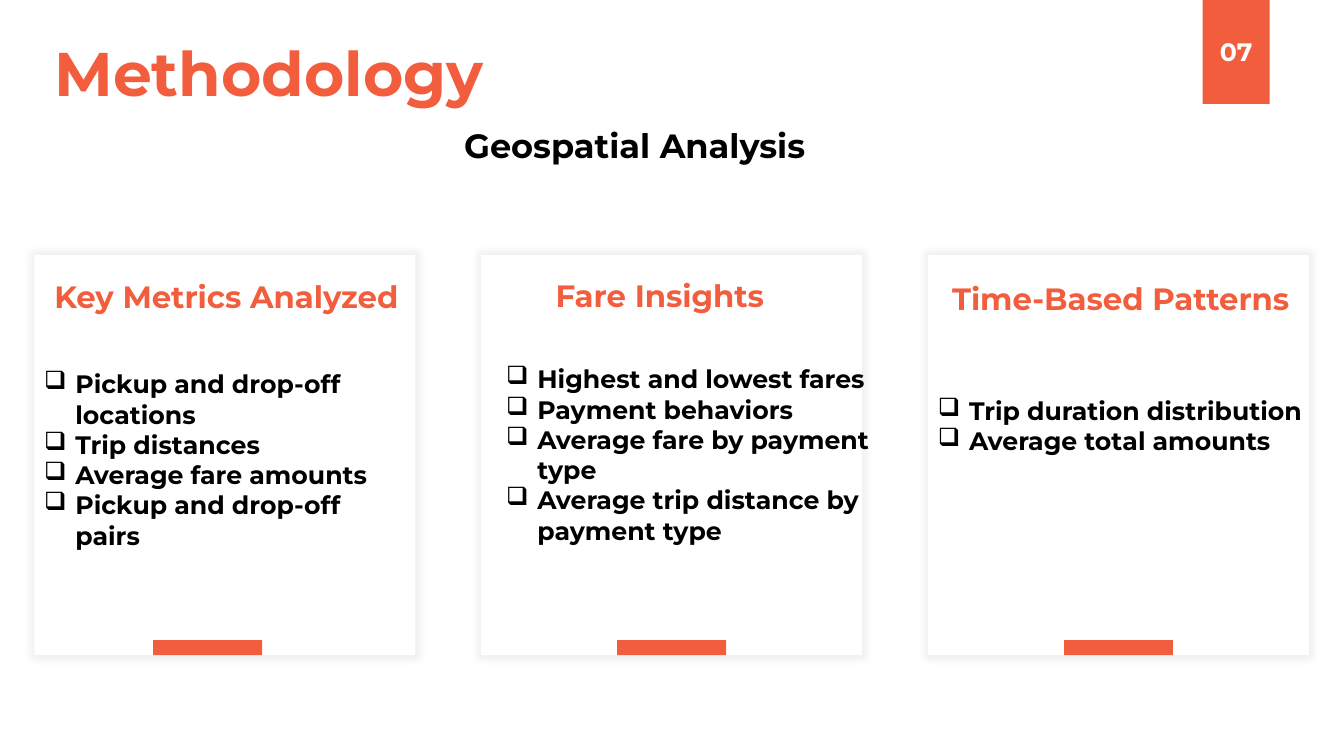
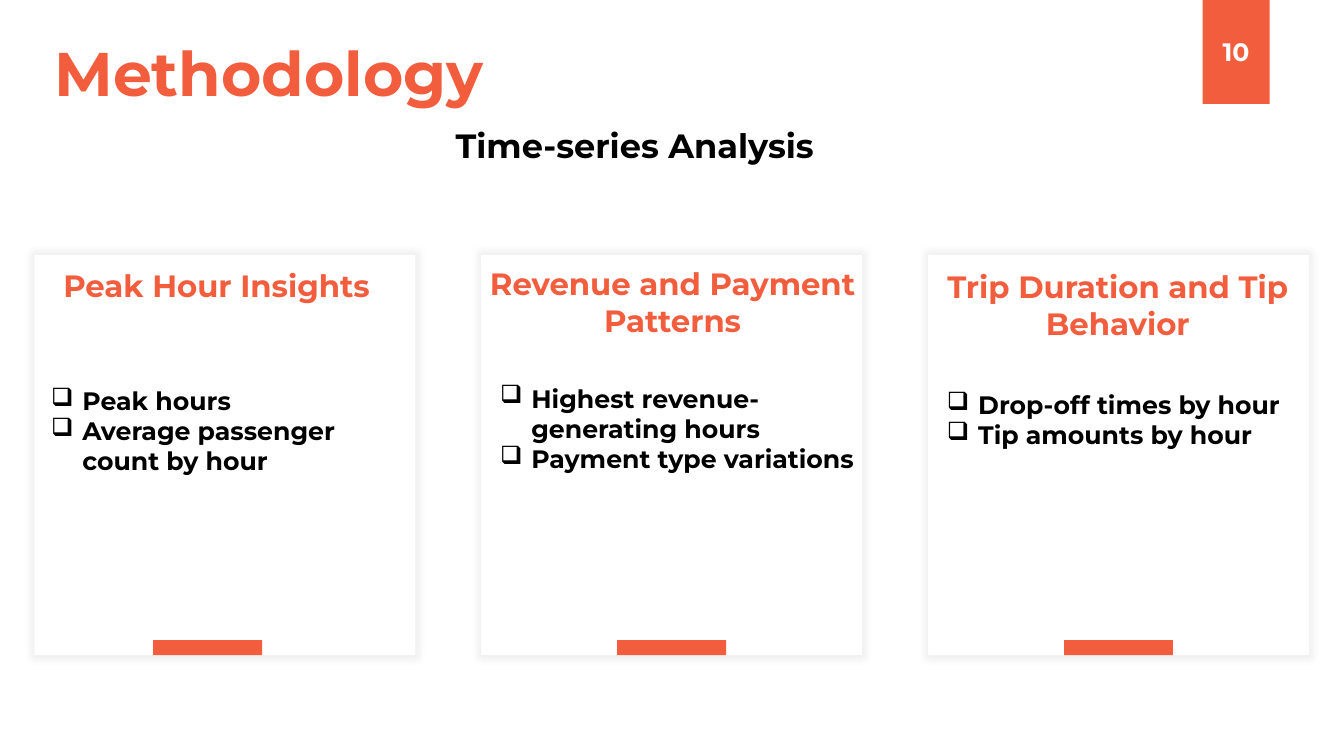
from dataclasses import dataclass

from lxml.etree import SubElement
from pptx import Presentation
from pptx.dml.color import RGBColor
from pptx.enum.shapes import MSO_SHAPE
from pptx.enum.text import MSO_ANCHOR, PP_ALIGN
from pptx.oxml.ns import qn
from pptx.util import Inches, Pt

# Slide grid: 40 columns by 22.5 rows of square cells
SLIDE_WIDTH, SLIDE_HEIGHT = Inches(40 / 3), Inches(7.5)
CELL = SLIDE_WIDTH / 40

ORANGE = RGBColor(0xF2, 0x5E, 0x3D)
WHITE = RGBColor(0xFF, 0xFF, 0xFF)
BLACK = RGBColor(0x00, 0x00, 0x00)

FONT = "Montserrat"
STYLES = {
    "title": {"size": Pt(44), "color": ORANGE},
    "subtitle": {"size": Pt(24), "color": BLACK},
    "heading": {"size": Pt(22), "color": ORANGE},
    "item": {"size": Pt(18), "color": BLACK},
    "number": {"size": Pt(18), "color": WHITE},
}
LEFT, CENTER = PP_ALIGN.LEFT, PP_ALIGN.CENTER
BULLET = "❑"
BULLET_INDENT = Inches(0.31)


@dataclass
class Box:
    """A region of the slide, measured in grid cells."""
    left: float
    top: float
    width: float
    height: float

    def inner(self, left, top, width, height):
        return Box(self.left + left, self.top + top, width, height)

    def place(self):
        sides = (self.left, self.top, self.width, self.height)
        return [round(side * CELL) for side in sides]


@dataclass
class Card:
    """Heading and list of one card; places are left, top, width in the card."""
    heading: str
    heading_place: tuple
    items: list
    list_place: tuple
    align: PP_ALIGN = LEFT


# Regions of every slide
NUMBER_TAG = Box(35.79, -0.03, 2, 3.12)
TITLE = Box(1.32, 0.9, 33.1, 2.52)
SUBTITLE = Box(2.34, 3.57, 33.1, 1.5)
CARD_ROW = Box(1.02, 7.59, 37.94, 11.91)
CARD_WIDTH = 11.34
CARD_STEP = (CARD_ROW.width - CARD_WIDTH) / 2
ACCENT_LEFTS = (3.54, 4.05, 4.05)
ACCENT_WIDTH, ACCENT_HEIGHT = 3.24, 0.45

SLIDES = [
    ("07", "Geospatial Analysis", [
        Card("Key Metrics Analyzed", (0.3, 0.54, 12.54),
             ["Pickup and drop-off locations", "Trip distances",
              "Average fare amounts", "Pickup and drop-off pairs"],
             (0, 3.24, 11.4)),
        Card("Fare Insights", (1.92, 0.51, 8.73),
             ["Highest and lowest fares", "Payment behaviors",
              "Average fare by payment type",
              "Average trip distance by payment type"],
             (0.45, 3.09, 11.4)),
        Card("Time-Based Patterns", (0.42, 0.6, 11.7),
             ["Trip duration distribution", "Average total amounts"],
             (0, 4.02, 12)),
    ]),
    ("10", "Time-series Analysis", [
        Card("Peak Hour Insights", (0.57, 0.21, 12.54),
             ["Peak hours", "Average passenger count by hour"],
             (0.21, 3.72, 11.4)),
        Card("Revenue and Payment Patterns", (-0.21, 0.15, 11.82),
             ["Highest revenue-generating hours", "Payment type variations"],
             (0.27, 3.66, 11.4), CENTER),
        Card("Trip Duration and Tip Behavior", (-1.05, 0.24, 13.4),
             ["Drop-off times by hour", "Tip amounts by hour"],
             (0.27, 3.84, 12), CENTER),
    ]),
]


def add_rectangle(page, box, color):
    shape = page.shapes.add_shape(MSO_SHAPE.RECTANGLE, *box.place())
    shape.shadow.inherit = False
    shape.fill.solid()
    shape.fill.fore_color.rgb = color
    shape.line.fill.background()
    return shape


def add_halo(shape):
    """Soft, faint shadow spreading evenly around the shape."""
    effects = shape._element.spPr.find(qn("a:effectLst"))
    shadow = SubElement(effects, qn("a:outerShdw"), blurRad=str(Pt(5)),
                        sx="102000", sy="102000", algn="ctr", rotWithShape="0")
    color = SubElement(shadow, qn("a:srgbClr"), val=str(BLACK))
    SubElement(color, qn("a:alpha"), val="6000")


def add_bullet(para):
    properties = para._p.get_or_add_pPr()
    properties.set("marL", str(BULLET_INDENT))
    properties.set("indent", str(-BULLET_INDENT))
    SubElement(properties, qn("a:buChar"), char=BULLET)


def write(frame, lines, style, align=LEFT, bulleted=False):
    frame.word_wrap = True
    for index, line in enumerate(lines):
        para = frame.add_paragraph() if index else frame.paragraphs[0]
        para.alignment = align
        if bulleted:
            add_bullet(para)
        span = para.add_run()
        span.text = line
        span.font.color.rgb = STYLES[style]["color"]
        formats = {"name": FONT, "size": STYLES[style]["size"], "bold": True}
        for name, value in formats.items():
            setattr(span.font, name, value)


def add_text(page, box, lines, style, **options):
    text_box = page.shapes.add_textbox(*box.place())
    write(text_box.text_frame, lines, style, **options)


def add_header(page, number, subtitle):
    # Page number tag
    tag = add_rectangle(page, NUMBER_TAG, ORANGE)
    tag.text_frame.vertical_anchor = MSO_ANCHOR.MIDDLE
    write(tag.text_frame, [number], "number", align=CENTER)
    # Title and subtitle
    add_text(page, TITLE, ["Methodology"], "title")
    add_text(page, SUBTITLE, [subtitle], "subtitle", align=CENTER)


def add_card(page, box, card, accent_left):
    # Panel with its accent bar on the lower edge
    add_halo(add_rectangle(page, box, WHITE))
    accent = box.inner(accent_left, box.height - ACCENT_HEIGHT,
                       ACCENT_WIDTH, ACCENT_HEIGHT)
    add_rectangle(page, accent, ORANGE)
    # Heading and bulleted list
    add_text(page, box.inner(*card.heading_place, 1.41), [card.heading],
             "heading", align=card.align)
    add_text(page, box.inner(*card.list_place, 0.9 * len(card.items) + 0.3),
             card.items, "item", bulleted=True)


def add_methodology_slide(deck, number, subtitle, cards):
    page = deck.slides.add_slide(deck.slide_layouts[6])
    add_header(page, number, subtitle)
    for index, (card, accent_left) in enumerate(zip(cards, ACCENT_LEFTS)):
        box = CARD_ROW.inner(index * CARD_STEP, 0, CARD_WIDTH, CARD_ROW.height)
        add_card(page, box, card, accent_left)


def main():
    deck = Presentation()
    deck.slide_width, deck.slide_height = SLIDE_WIDTH, SLIDE_HEIGHT
    for number, subtitle, cards in SLIDES:
        add_methodology_slide(deck, number, subtitle, cards)
    deck.save("out.pptx")


if __name__ == "__main__":
    main()
